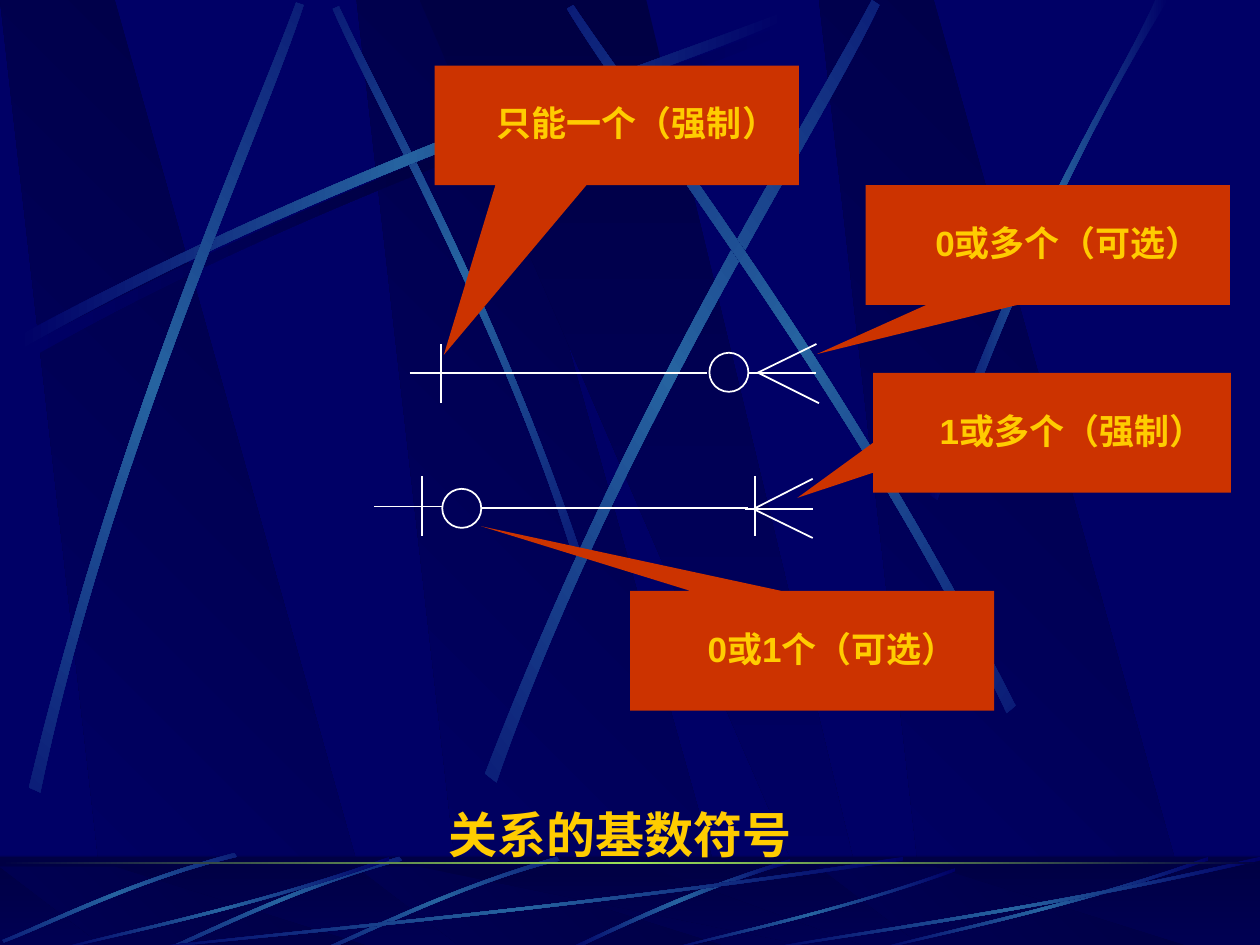
import copy
import math
from dataclasses import dataclass
from typing import NamedTuple, Optional

import pptx
import pptx.dml.color
import pptx.enum.shapes
import pptx.enum.text
import pptx.oxml
import pptx.oxml.ns
import pptx.util
from pptx.util import Inches

SHAPE = pptx.enum.shapes.MSO_SHAPE


@dataclass(frozen=True)
class Theme:
    dark: str = "000044"
    page: str = "000066"
    streak: str = "2663A0"
    rule: str = "9CE157"
    symbol: str = "FFFFFF"
    callout: str = "CC3300"
    text: str = "FFCC00"
    font: str = "Arial"
    label_size: int = 20
    title_size: int = 28
    line_width: int = 1


THEME = Theme()


class Streak(NamedTuple):
    """Eight outline points: one cubic edge, then the cubic edge back."""
    points: tuple
    rotation: float = 0
    middle: str = THEME.streak


class Line(NamedTuple):
    x1: float
    y1: float
    x2: float
    y2: float


class Callout(NamedTuple):
    text: str
    left: float
    top: float
    width: float
    tip: tuple


def shifted(points: tuple, dx: float, dy: float) -> tuple:
    return tuple((x + dx, y + dy) for x, y in points)


def fitted(left: float, top: float, width: float, height: float) -> tuple:
    """Stretch the unit floor streak over a box."""
    return tuple((left + x * width, top + y * height) for x, y in FLOOR_UNIT)


FLOOR_UNIT = ((1, 0.04), (0.57, 0.57), (0.17, 0.85), (0, 1),
              (0, 0.99), (0.17, 0.81), (0.61, 0.51), (1, 0))
SWEEP = ((0.14, 2.67), (2.78, 1.25), (5.18, 0.51), (6.2, 0.1),
         (6.23, 0.16), (5.22, 0.61), (2.48, 1.43), (0.17, 2.77))
BLADE = ((4.42, 6.8), (3.55, 7.05), (2.87, 7.4), (2.56, 7.53),
         (2.57, 7.55), (2.88, 7.43), (3.65, 7.03), (4.44, 6.83))
LEFT_BLADE = ((1.86, 6.77), (0.99, 7), (0.33, 7.34), (0.02, 7.46),
              (0.03, 7.48), (0.34, 7.37), (1.1, 6.98), (1.88, 6.8))
WALL_STREAKS = [
    Streak(shifted(SWEEP, 0.06, 0.08), middle=THEME.dark),
    Streak(((4.6, 4.36), (3.91, 2.34), (3.02, 0.77), (2.69, 0.05),
            (2.64, 0.07), (2.95, 0.79), (3.98, 2.58), (4.54, 4.39)), 45),
    Streak(SWEEP),
    Streak(((0.23, 6.25), (0.93, 3.34), (1.97, 1.05), (2.35, 0.02),
            (2.41, 0.04), (2.07, 1.08), (0.86, 3.68), (0.32, 6.29)), 311.7),
    Streak(((3.85, 6.14), (4.98, 3.2), (6.38, 1.02), (6.92, 0),
            (6.98, 0.04), (6.49, 1.08), (4.86, 3.55), (3.94, 6.21)), 321.6),
    Streak(((8.06, 5.6), (6.7, 2.93), (5.16, 0.95), (4.55, 0.04),
            (4.5, 0.07), (5.07, 1.01), (6.85, 3.25), (7.99, 5.66)), 34.8),
    Streak(((7.38, 3.93), (8.14, 1.73), (8.88, 0.66), (9.17, 0),
            (9.27, 0), (8.36, 1.45), (7.69, 3.22), (7.44, 3.97))),
]
FLOOR_STREAKS = [
    Streak(((6.27, 6.82), (5.37, 7.09), (4.77, 7.42), (4.48, 7.54),
            (4.53, 7.55), (4.9, 7.37), (5.71, 7), (6.28, 6.85))),
    *(Streak(points, 314.9) for points in (BLADE, shifted(BLADE, -1.25, 0), LEFT_BLADE)),
    *(Streak(fitted(left, top, width, 7.55 - top)) for left, top, width in (
        (1, 6.8, 6.17), (0.42, 6.8, 2.67), (5.27, 6.89, 2.31),
        (6.92, 6.8, 2.67), (6, 6.8, 4))),
]
LINES = [
    Line(3.25, 2.96, 5.61, 2.96), Line(3.5, 3.2, 3.5, 2.73),
    Line(5.94, 2.96, 6.48, 2.96), Line(6.02, 2.96, 6.5, 3.2),
    Line(6.01, 2.96, 6.48, 2.73),
    Line(5.99, 4.25, 5.99, 3.78), Line(5.91, 4.04, 6.45, 4.04),
    Line(5.98, 4.04, 6.45, 4.27), Line(5.98, 4.04, 6.45, 3.8),
    Line(5.94, 4.03, 3.82, 4.03), Line(3.35, 4.25, 3.35, 3.78),
    Line(2.97, 4.02, 3.51, 4.02),
]
CIRCLES = [(5.63, 2.8), (3.51, 3.88)]
CALLOUTS = [
    Callout("只能一个（强制）", 3.45, 0.52, 2.89, (-0.475, 1.918)),
    Callout("0或多个（可选）", 6.87, 1.47, 2.89, (-0.634, 0.911)),
    Callout("1或多个（强制）", 6.93, 2.96, 2.84, (-0.712, 0.544)),
    Callout("0或1个（可选）", 5, 4.69, 2.89, (-0.909, -1.041)),
]


def rgb(value: str) -> pptx.dml.color.RGBColor:
    return pptx.dml.color.RGBColor.from_string(value)


def finish(shape, fill: Optional[str] = None, line: Optional[str] = None):
    shape.shadow.inherit = False
    if fill:
        shape.fill.solid()
        shape.fill.fore_color.rgb = rgb(fill)
    else:
        shape.fill.background()
    if line:
        shape.line.color.rgb = rgb(line)
        shape.line.width = pptx.util.Pt(THEME.line_width)
    else:
        shape.line.fill.background()
    return shape


def shade(shape, colors: tuple, angle: int):
    """Give a gradient with evenly spaced colours, angle clockwise."""
    finish(shape)
    shape.fill.gradient()
    shape.fill.gradient_angle = 360 - angle
    stop_list = shape.element.spPr.find(".//" + pptx.oxml.ns.qn("a:gsLst"))
    while len(stop_list) < len(colors):
        stop_list.append(copy.deepcopy(stop_list[0]))
    for index, (stop, color) in enumerate(zip(shape.fill.gradient_stops, colors)):
        stop.color.rgb = rgb(color)
        stop.position = index / (len(colors) - 1)
    return shape


def add_preset(slide, kind, left: float, top: float, width: float, height: float):
    return slide.shapes.add_shape(
        kind, Inches(left), Inches(top), Inches(width), Inches(height))


def add_polygon(slide, points: list):
    corners = [(Inches(x), Inches(y)) for x, y in points]
    builder = slide.shapes.build_freeform(*corners[0])
    builder.add_line_segments(corners[1:], close=True)
    return builder.convert_to_shape()


def curve_edges(shape):
    """Turn the two long edges of an eight-point outline into cubic curves."""
    segments = shape.element.spPr.findall(".//" + pptx.oxml.ns.qn("a:lnTo"))
    for first in (0, 4):
        curve = pptx.oxml.parse_xml(f'<a:cubicBezTo {pptx.oxml.ns.nsdecls("a")}/>')
        segments[first].addprevious(curve)
        for segment in segments[first:first + 3]:
            curve.append(segment[0])
            segment.getparent().remove(segment)


def turned(x: float, y: float, degrees: float) -> tuple:
    cos, sin = math.cos(math.radians(degrees)), math.sin(math.radians(degrees))
    return x * cos - y * sin, x * sin + y * cos


def add_streak(slide, streak: Streak):
    """Draw the outline level, then rotate it so the gradient follows its length."""
    shape = add_polygon(slide, [turned(x, y, -streak.rotation) for x, y in streak.points])
    curve_edges(shape)
    center_x, center_y = turned(shape.left + shape.width / 2,
                                shape.top + shape.height / 2, streak.rotation)
    shape.left = round(center_x - shape.width / 2)
    shape.top = round(center_y - shape.height / 2)
    shape.rotation = streak.rotation
    return shade(shape, (THEME.page, streak.middle, THEME.page), 180)


def add_bands(slide, top: float, bottom: float) -> list:
    colors = (THEME.dark, THEME.page)
    bands = [shade(add_polygon(slide, [(x + 0.86, bottom), (x + 3.02, bottom),
                                       (x + 0.91, top), (x, top)]), colors, 135)
             for x in (2.83, 0, 6.5)]
    wide = add_polygon(slide, [(3.33, top), (6.58, bottom), (6.94, bottom), (5.13, top)])
    return bands + [shade(wide, colors, 90)]


def add_scenery(slide, master):
    """Draw the backdrop and hand it to the master, beneath its placeholders."""
    scenery = add_bands(slide, 0, 7.52)
    scenery += [add_streak(slide, streak) for streak in WALL_STREAKS]
    floor = add_preset(slide, SHAPE.RECTANGLE, 0, 6.8, 10, 0.75)
    scenery.append(shade(floor, (THEME.dark, THEME.page), 90))
    scenery += add_bands(slide, 6.88, 7.54)
    veil = finish(add_preset(slide, SHAPE.RECTANGLE, 0, 6.79, 10, 0.75), THEME.dark)
    color = veil.element.spPr.find(".//" + pptx.oxml.ns.qn("a:srgbClr"))
    color.append(pptx.oxml.parse_xml(
        f'<a:alpha {pptx.oxml.ns.nsdecls("a")} val="50000"/>'))
    scenery.append(veil)
    scenery += [add_streak(slide, streak) for streak in FLOOR_STREAKS]
    rule = add_preset(slide, SHAPE.RECTANGLE, 0, 6.84, 10, 0.02)
    scenery.append(shade(rule, (THEME.dark, THEME.rule, THEME.dark), 180))
    for index, shape in enumerate(scenery, start=2):
        master.shapes.element.insert(index, shape.element)


def add_line(slide, line: Line):
    connector = slide.shapes.add_connector(
        pptx.enum.shapes.MSO_CONNECTOR.STRAIGHT, *(Inches(value) for value in line))
    connector.line.color.rgb = rgb(THEME.symbol)
    connector.line.width = pptx.util.Pt(THEME.line_width)
    connector.element.spPr.append(
        pptx.oxml.parse_xml(f'<a:effectLst {pptx.oxml.ns.nsdecls("a")}/>'))


def set_text(box, text: str, size: int):
    frame = box.text_frame
    frame.text = text
    frame.word_wrap = True
    frame.auto_size = pptx.enum.text.MSO_AUTO_SIZE.SHAPE_TO_FIT_TEXT
    frame.vertical_anchor = pptx.enum.text.MSO_ANCHOR.BOTTOM
    para = frame.paragraphs[0]
    para.alignment = pptx.enum.text.PP_ALIGN.CENTER
    font = para.runs[0].font
    font.name, font.size, font.bold = THEME.font, pptx.util.Pt(size), True
    font.color.rgb = rgb(THEME.text)


def add_callout(slide, callout: Callout):
    shape = finish(add_preset(slide, SHAPE.RECTANGULAR_CALLOUT, callout.left,
                              callout.top, callout.width, 0.95), THEME.callout)
    shape.adjustments[0], shape.adjustments[1] = callout.tip
    box = slide.shapes.add_textbox(
        Inches(callout.left + 0.08), Inches(callout.top + 0.23),
        Inches(callout.width + 0.16), Inches(0.44))
    set_text(box, callout.text, THEME.label_size)


def main():
    deck = pptx.Presentation()
    deck.slide_width, deck.slide_height = Inches(10), Inches(7.5)
    master = deck.slide_master
    master.background.fill.solid()
    master.background.fill.fore_color.rgb = rgb(THEME.page)
    slide = deck.slides.add_slide(deck.slide_layouts.get_by_name("Title Only"))
    add_scenery(slide, master)
    for line in LINES:
        add_line(slide, line)
    for left, top in CIRCLES:
        finish(add_preset(slide, SHAPE.OVAL, left, top, 0.31, 0.31), line=THEME.symbol)
    for callout in CALLOUTS:
        add_callout(slide, callout)
    title = slide.shapes.title
    title.left, title.top = Inches(2.24), Inches(6.33)
    title.width, title.height = Inches(5.36), Inches(0.57)
    set_text(title, "关系的基数符号", THEME.title_size)
    deck.save("out.pptx")


if __name__ == "__main__":
    main()
